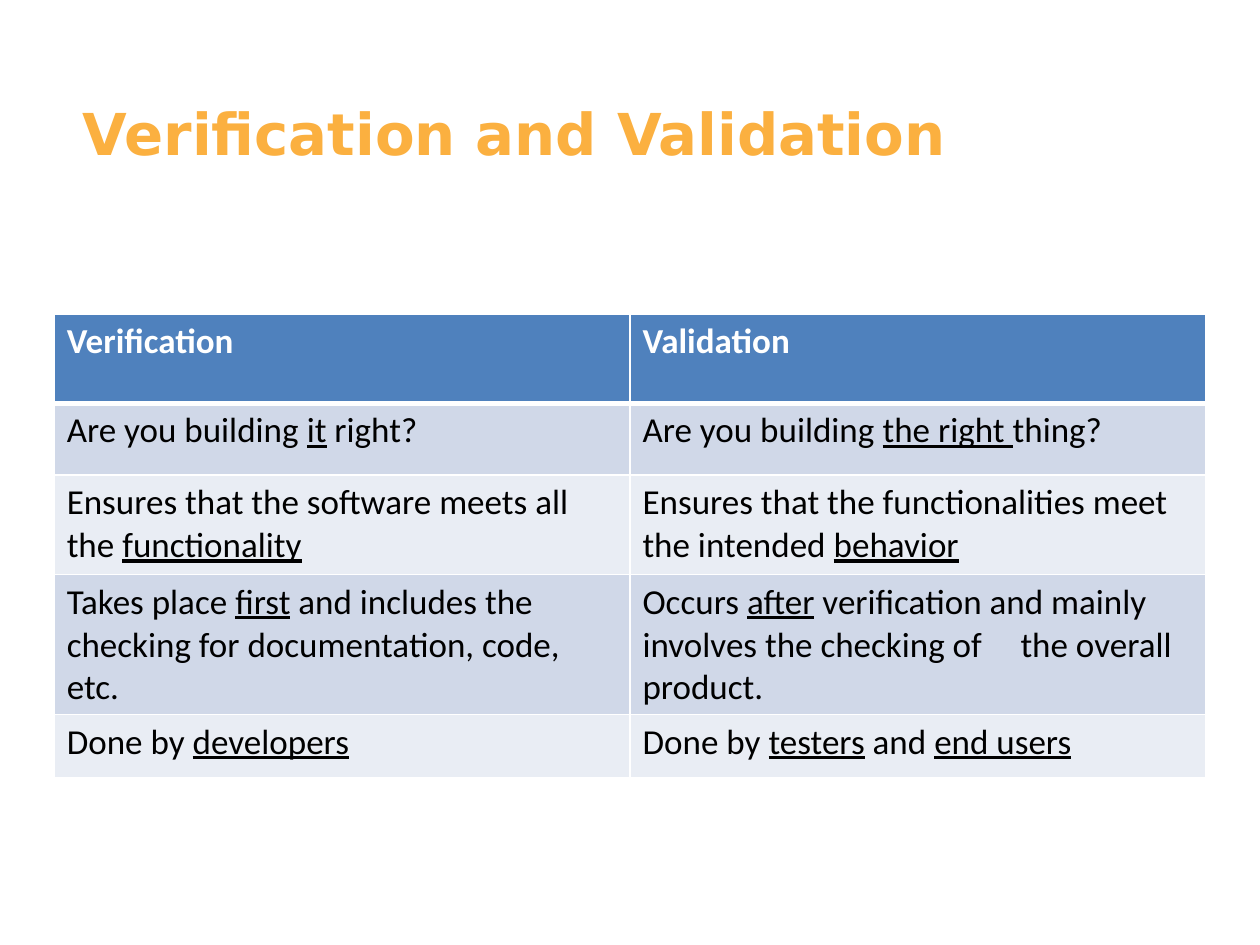
from dataclasses import dataclass

import pptx
import pptx.dml.color
import pptx.oxml
import pptx.oxml.ns
import pptx.util
from pptx.util import Inches

HUES = {
    "title": "FBB040",
    "head": "4F81BD",
    "dark": "D0D8E8",
    "light": "E9EDF4",
    "white": "FFFFFF",
    "black": "000000",
}


@dataclass
class Row:
    height: float
    cells: tuple[str, str]


# Underscores enclose underlined words
ROWS = [
    Row(0.71, ("Verification", "Validation")),
    Row(0.57, ("Are you building _it_ right?",
               "Are you building _the right _thing?")),
    Row(0.79, ("Ensures that the software meets all the _functionality_",
               "Ensures that the functionalities meet the intended _behavior_")),
    Row(1.11, ("Takes place _first_ and includes the checking for documentation, code, etc.",
               "Occurs _after_ verification and mainly involves the checking of \tthe overall product.")),
    Row(0.5, ("Done by _developers_",
              "Done by _testers_ and _end users_")),
]


def color(name: str) -> pptx.dml.color.RGBColor:
    return pptx.dml.color.RGBColor.from_string(HUES[name])


def style(para, face: str, size: float, hue: str, bold: bool) -> None:
    font = para.font
    font.name, font.size, font.bold = face, pptx.util.Pt(size), bold
    font.color.rgb = color(hue)


def write(para, text: str) -> None:
    for i, part in enumerate(text.split("_")):
        if part:
            run = para.add_run()
            run.text = part
            if i % 2:
                run.font.underline = True


def edge(cell, side: str, width: float) -> None:
    line = pptx.oxml.parse_xml(
        f'<a:ln{side} {pptx.oxml.ns.nsdecls("a")} w="{pptx.util.Pt(width)}">'
        f'<a:solidFill><a:srgbClr val="{HUES["white"]}"/></a:solidFill></a:ln{side}>'
    )
    cell._tc.get_or_add_tcPr().append(line)


def draw_title(slide, text: str) -> None:
    box = slide.shapes.add_textbox(Inches(0.56), Inches(0.73), Inches(8.84), Inches(1.25))
    box.text_frame.word_wrap = True
    para = box.text_frame.paragraphs[0]
    para.space_before = pptx.util.Pt(2)
    style(para, "DejaVu Sans", 33, "title", True)
    write(para, text)


def draw_cell(cell, text: str, row: int) -> None:
    head = row == 0
    # Heavier rule between the header and the body
    widths = {"L": 1, "R": 1, "T": 3 if row == 1 else 1, "B": 3 if head else 1}
    for side, width in widths.items():
        edge(cell, side, width)
    cell.fill.solid()
    cell.fill.fore_color.rgb = color("head" if head else "dark" if row % 2 else "light")
    para = cell.text_frame.paragraphs[0]
    style(para, "Calibri", 20, "white" if head else "black", head)
    write(para, text)


def draw_table(slide, rows: list[Row]) -> None:
    high = sum(row.height for row in rows)
    table = slide.shapes.add_table(
        len(rows), 2, Inches(0.43), Inches(2.49), Inches(9.14), Inches(high)
    ).table
    for r, row in enumerate(rows):
        table.rows[r].height = Inches(row.height)
        for c, text in enumerate(row.cells):
            draw_cell(table.cell(r, c), text, r)


def main() -> None:
    deck = pptx.Presentation()
    deck.slide_width, deck.slide_height = Inches(10), Inches(7.5)
    slide = deck.slides.add_slide(deck.slide_layouts[6])
    draw_title(slide, "Verification and Validation")
    draw_table(slide, ROWS)
    deck.save("out.pptx")


if __name__ == "__main__":
    main()
